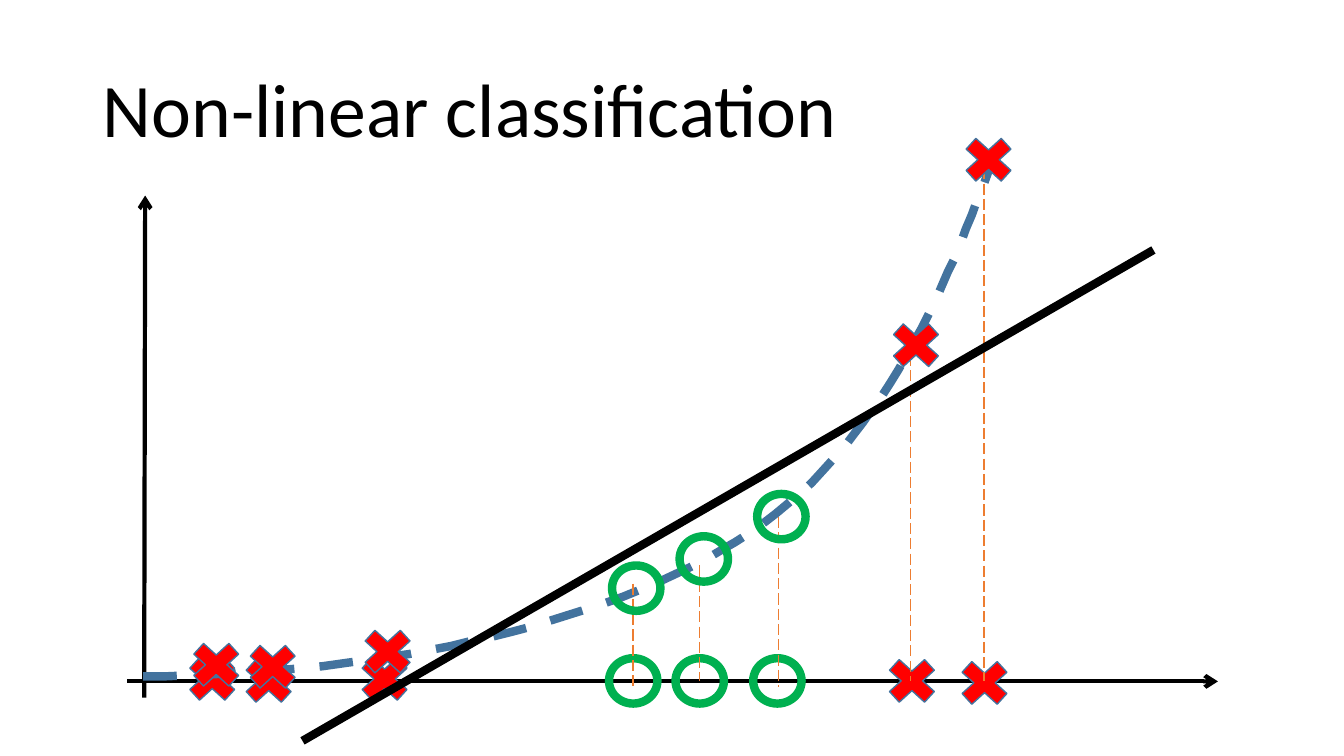
from pptx import Presentation
from pptx.dml.color import RGBColor
from pptx.enum.dml import MSO_LINE
from pptx.enum.shapes import MSO_CONNECTOR, MSO_SHAPE
from pptx.enum.text import MSO_ANCHOR, MSO_AUTO_SIZE, PP_ALIGN
from pptx.oxml.ns import qn
from pptx.util import Pt
from lxml import etree

PX = 9144  # EMU per px, 100 px to the inch
STRAIGHT = MSO_CONNECTOR.STRAIGHT
CROSS, CIRCLE = MSO_SHAPE.MATH_MULTIPLY, MSO_SHAPE.OVAL
DASH, LONG_DASH = MSO_LINE.DASH, MSO_LINE.LONG_DASH
TITLE_ONLY = 5
CURVE_STEPS = 30

COLORS = {
    "ink": "000000",
    "cross": "FF0000",
    "curve": "43739E",
    "circle": "00B050",
    "drop": "ED7D31",
}
MARKER_SIZES = {CROSS: (67, 61), CIRCLE: (48, 45)}

# Positions inside the plot box: (kind, left, top)
AXIS_MARKERS = [
    (CROSS, 51, 515), (CROSS, 107, 517), (CROSS, 222, 515),
    (CIRCLE, 621, 525), (CIRCLE, 478, 525), (CIRCLE, 544, 525),
    (CROSS, 817, 519), (CROSS, 745, 517),
]
LIFTED_MARKERS = [
    (CROSS, 55, 501), (CROSS, 111, 503), (CROSS, 225, 488),
    (CIRCLE, 625, 362), (CIRCLE, 481, 433), (CIRCLE, 548, 404),
    (CROSS, 821, 0), (CROSS, 749, 184),
]
# Vertical guides: (x, top, bottom)
DROPS = [(777, 209, 548), (850, 39, 548), (568, 433, 548),
         (502, 451, 554), (646, 385, 554)]
# Cubic segments, each starting where the last one ended
CURVE_START = (16, 543)
CURVE_SEGMENTS = [
    ((241, 542), (462, 496), (603, 410)),
    ((743, 324), (809, 167), (859, 29)),
]


def color(name):
    return RGBColor.from_string(COLORS[name])


def style_line(line, name, width, dash=None):
    line.color.rgb = color(name)
    line.width = Pt(width)
    if dash is not None:
        line.dash_style = dash


def add_line(slide, box, start, end, name, width, dash=None, arrow=False):
    left, top = box
    points = [(left + x, top + y) for x, y in (start, end)]
    connector = slide.shapes.add_connector(
        STRAIGHT, *(value * PX for point in points for value in point))
    style_line(connector.line, name, width, dash)
    if arrow:
        outline = connector.line._get_or_add_ln()
        etree.SubElement(outline, qn("a:tailEnd"), type="arrow")
    etree.SubElement(connector._element.spPr, qn("a:effectLst"))


def add_markers(slide, box, markers):
    left, top = box
    for kind, x, y in markers:
        width, height = MARKER_SIZES[kind]
        shape = slide.shapes.add_shape(
            kind, (left + x) * PX, (top + y) * PX, width * PX, height * PX)
        shape.shadow.inherit = False
        if kind == CROSS:
            shape.fill.solid()
            shape.fill.fore_color.rgb = color("cross")
            style_line(shape.line, "curve", 1)
        else:
            shape.fill.background()
            style_line(shape.line, "circle", 6)


def bezier(points, t):
    weights = ((1 - t) ** 3, 3 * t * (1 - t) ** 2, 3 * t * t * (1 - t), t ** 3)
    return tuple(sum(weight * point[axis] for weight, point in zip(weights, points))
                 for axis in (0, 1))


def add_curve(slide, box):
    left, top = box
    start, vertices = CURVE_START, []
    for segment in CURVE_SEGMENTS:
        for step in range(1, CURVE_STEPS + 1):
            x, y = bezier((start, *segment), step / CURVE_STEPS)
            vertices.append((left + x, top + y))
        start = segment[-1]
    builder = slide.shapes.build_freeform(
        left + CURVE_START[0], top + CURVE_START[1], scale=PX)
    builder.add_line_segments(vertices, close=False)
    curve = builder.convert_to_shape()
    curve.shadow.inherit = False
    curve.fill.background()
    style_line(curve.line, "curve", 6, DASH)


def add_title(slide, left, top, width, height):
    title = slide.shapes.title
    title.left, title.top = left * PX, top * PX
    title.width, title.height = width * PX, height * PX
    frame = title.text_frame
    frame.text = "Non-linear classification"
    frame.auto_size = MSO_AUTO_SIZE.NONE
    frame.vertical_anchor = MSO_ANCHOR.MIDDLE
    paragraph = frame.paragraphs[0]
    paragraph.alignment = PP_ALIGN.LEFT
    paragraph.line_spacing = 0.9
    paragraph.font.name = "Calibri"
    paragraph.font.size = Pt(54)
    paragraph.font.color.rgb = color("ink")


def add_plot(slide, left, top):
    box = (left, top)
    # Horizontal axis with the one-dimensional samples
    add_line(slide, box, (0, 548), (1082, 548), "ink", 3, arrow=True)
    add_markers(slide, box, AXIS_MARKERS)
    # Vertical axis and the mapping curve
    add_line(slide, box, (17, 564), (18, 66), "ink", 3, arrow=True)
    add_curve(slide, box)
    # Guides from the axis up to the lifted samples
    for x, upper, lower in DROPS:
        add_line(slide, box, (x, upper), (x, lower), "drop", 1, LONG_DASH)
    add_markers(slide, box, LIFTED_MARKERS)
    # Separating line
    add_line(slide, box, (1018, 120), (174, 607), "ink", 6)


def main():
    presentation = Presentation()
    presentation.slide_width = 1333 * PX
    presentation.slide_height = 750 * PX
    slide = presentation.slides.add_slide(presentation.slide_layouts[TITLE_ONLY])
    add_title(slide, 92, 40, 1150, 145)
    add_plot(slide, 126, 128)
    presentation.save("out.pptx")


if __name__ == "__main__":
    main()
